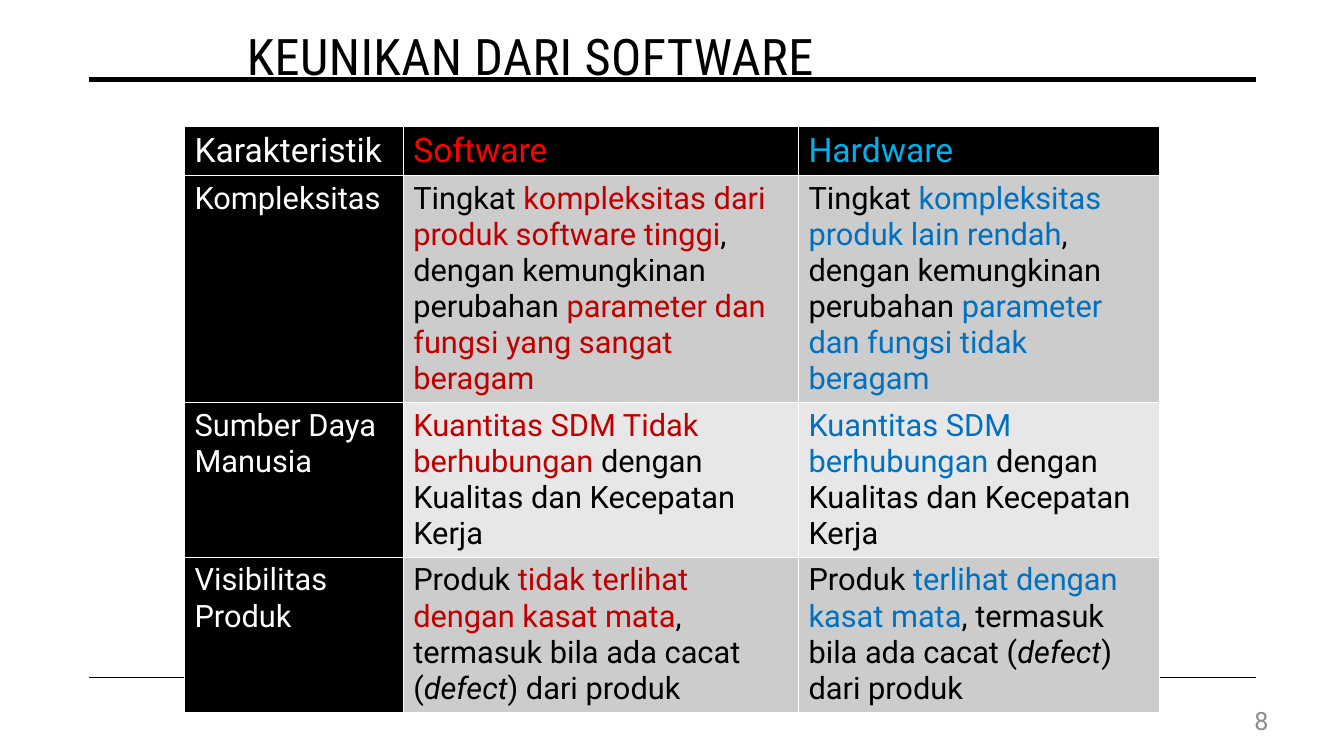
import pptx
import pptx.dml.color
import pptx.enum.shapes
import pptx.enum.text
import pptx.oxml
import pptx.oxml.ns
import pptx.util
from dataclasses import dataclass
from typing import Any, NamedTuple

Inches = pptx.util.Inches
Anchor = pptx.enum.text.MSO_ANCHOR
Align = pptx.enum.text.PP_ALIGN


@dataclass(frozen=True)
class Theme:
    black: str = "000000"
    white: str = "FFFFFF"
    red: str = "FF0000"
    sky: str = "00B0F0"
    wine: str = "C00000"
    blue: str = "0070C0"
    gray: str = "8C8C8C"
    dark: str = "CCCCCC"
    light: str = "E7E7E7"
    face: str = "Roboto"
    narrow: str = "Roboto Condensed"
    title: int = 36
    head: int = 24
    body: int = 22
    number: int = 18


THEME = Theme()


class Run(NamedTuple):
    text: str
    color: str = THEME.black
    slant: bool = False


class Rule(NamedTuple):
    top: float
    width: float


class Label(NamedTuple):
    run: Run
    place: tuple[float, float, float, float]
    face: str
    size: int
    align: Any
    track: int


class Row(NamedTuple):
    height: float
    size: int
    fill: str
    cells: tuple[tuple[Run, ...], ...]


def wine(text: str) -> Run:
    return Run(text, THEME.wine)


def blue(text: str) -> Run:
    return Run(text, THEME.blue)


def white(text: str) -> Run:
    return Run(text, THEME.white)


CHANGE = Run(", dengan kemungkinan perubahan ")
SPEED = Run("dengan Kualitas dan Kecepatan Kerja")
FLAW = (Run(", termasuk bila ada cacat ("), Run("defect", slant=True), Run(") dari produk"))

RULES = (Rule(0.79, 3.5), Rule(6.72, 1))
LABELS = (
    Label(Run("KEUNIKAN DARI SOFTWARE"), (2.35, 0.17, 9.3, 0.75),
          THEME.narrow, THEME.title, Align.LEFT, 30),
    Label(Run("8", THEME.gray), (11.94, 6.95, 0.74, 0.4),
          THEME.face, THEME.number, Align.RIGHT, 0),
)
WIDTHS = (2.17, 3.92, 3.58)
ROWS = (
    Row(0.48, THEME.head, THEME.black, (
        (white("Karakteristik"),),
        (Run("Software", THEME.red),),
        (Run("Hardware", THEME.sky),),
    )),
    Row(2.24, THEME.body, THEME.dark, (
        (white("Kompleksitas"),),
        (Run("Tingkat "), wine("kompleksitas dari produk software tinggi"), CHANGE,
         wine("parameter dan fungsi yang sangat beragam")),
        (Run("Tingkat "), blue("kompleksitas produk lain rendah"), CHANGE,
         blue("parameter dan fungsi tidak beragam")),
    )),
    Row(1.53, THEME.body, THEME.light, (
        (white("Sumber Daya Manusia"),),
        (wine("Kuantitas SDM Tidak berhubungan "), SPEED),
        (blue("Kuantitas SDM berhubungan "), SPEED),
    )),
    Row(1.53, THEME.body, THEME.dark, (
        (white("Visibilitas Produk"),),
        (Run("Produk "), wine("tidak terlihat dengan kasat mata"), *FLAW),
        (Run("Produk "), blue("terlihat dengan kasat mata"), *FLAW),
    )),
)


def tint(color: str) -> pptx.dml.color.RGBColor:
    return pptx.dml.color.RGBColor.from_string(color)


def apply(target: Any, form: dict[str, Any]) -> None:
    for name, value in form.items():
        setattr(target, name, value)


def write(par: Any, run: Run, face: str, size: int) -> Any:
    part = par.add_run()
    part.text = run.text
    apply(part.font, {"name": face, "size": pptx.util.Pt(size),
                      "bold": False, "italic": run.slant})
    part.font.color.rgb = tint(run.color)
    return part


def draw_rule(slide: Any, rule: Rule) -> None:
    line = slide.shapes.add_connector(
        pptx.enum.shapes.MSO_CONNECTOR.STRAIGHT,
        Inches(0.88), Inches(rule.top), Inches(12.46), Inches(rule.top))
    line.line.width = pptx.util.Pt(rule.width)
    line.line.color.rgb = tint(THEME.black)
    pptx.oxml.ns.qn("a:effectLst")
    line._element.spPr.append(
        pptx.oxml.parse_xml(f'<a:effectLst {pptx.oxml.ns.nsdecls("a")}/>'))


def draw_label(slide: Any, label: Label) -> None:
    frame = slide.shapes.add_textbox(*map(Inches, label.place)).text_frame
    apply(frame, {"word_wrap": True, "vertical_anchor": Anchor.MIDDLE})
    par = frame.paragraphs[0]
    par.alignment = label.align
    part = write(par, label.run, label.face, label.size)
    if label.track:
        part.font._element.set("spc", str(label.track))


def edge(cell: Any) -> None:
    props = cell._tc.get_or_add_tcPr()
    for spot, side in enumerate("LRTB"):
        props.insert(spot, pptx.oxml.parse_xml(
            f'<a:ln{side} {pptx.oxml.ns.nsdecls("a")} w="12700"><a:solidFill>'
            f'<a:srgbClr val="{THEME.white}"/></a:solidFill></a:ln{side}>'))


def draw_table(slide: Any) -> None:
    table = slide.shapes.add_table(
        len(ROWS), len(WIDTHS), Inches(1.83), Inches(1.25),
        Inches(sum(WIDTHS)), Inches(sum(row.height for row in ROWS))).table
    for col, width in zip(table.columns, WIDTHS):
        col.width = Inches(width)
    for down, row in enumerate(ROWS):
        table.rows[down].height = Inches(row.height)
        for across, runs in enumerate(row.cells):
            cell = table.cell(down, across)
            cell.fill.solid()
            cell.fill.fore_color.rgb = tint(row.fill if across else THEME.black)
            edge(cell)
            for run in runs:
                write(cell.text_frame.paragraphs[0], run, THEME.face, row.size)


def main() -> None:
    deck = pptx.Presentation()
    apply(deck, {"slide_width": Inches(13.33), "slide_height": Inches(7.5)})
    slide = deck.slides.add_slide(deck.slide_layouts[6])
    for rule in RULES:
        draw_rule(slide, rule)
    draw_table(slide)
    for label in LABELS:
        draw_label(slide, label)
    deck.save("out.pptx")


if __name__ == "__main__":
    main()
